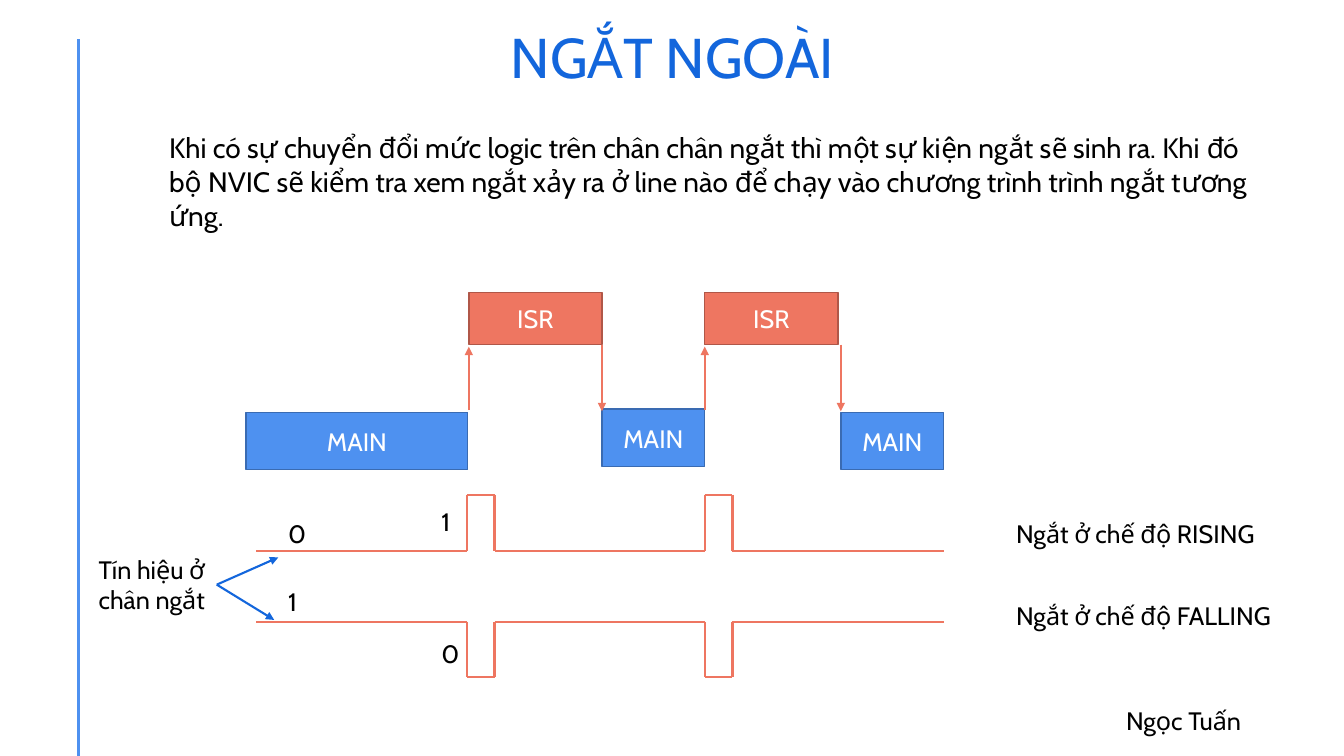
from dataclasses import dataclass
from itertools import pairwise

from lxml.etree import SubElement
from pptx import Presentation
from pptx.dml.color import RGBColor as Color
from pptx.enum.shapes import MSO_CONNECTOR as Connector, MSO_SHAPE as Shape
from pptx.enum.text import MSO_ANCHOR as Anchor, MSO_AUTO_SIZE as AutoSize, PP_ALIGN as Align
from pptx.oxml.ns import qn
from pptx.util import Inches, Pt

COLUMNS, ROWS, CELL = 133.3, 75, 0.1


@dataclass(frozen=True)
class Theme:
    """Colours, type sizes and line widths of the slide."""
    font: str = "Cabin"
    title: str = "1366DC"
    text: str = "000000"
    light: str = "FFFFFF"
    main: str = "4E91F0"
    main_edge: str = "3A6BB2"
    isr: str = "EE7661"
    isr_edge: str = "B05748"
    title_size: int = 40
    body_size: int = 20
    label_size: int = 18
    edge: float = 1
    stroke: float = 1.5
    rule: float = 2


@dataclass(frozen=True)
class Box:
    """A region measured in grid columns and rows."""
    left: float
    top: float
    width: float
    height: float

    def inner(self, left, top, width, height):
        """Return a smaller box placed from this box's corner."""
        return Box(self.left + left, self.top + top, width, height)

    def point(self, column, row):
        """Return slide lengths of a point counted from this box's corner."""
        return cells(self.left + column), cells(self.top + row)

    def frame(self):
        """Return left, top, width and height as slide lengths."""
        return [cells(count) for count in (self.left, self.top, self.width, self.height)]


THEME = Theme()


def cells(count):
    """Turn a number of grid cells into a length."""
    return Inches(count * CELL)


def apply(target, values):
    """Set every attribute named in a dict."""
    for name, value in values.items():
        setattr(target, name, value)


def write(shape, text, size, color, align=Align.LEFT, anchor=Anchor.TOP):
    """Put one formatted paragraph in a shape."""
    frame = shape.text_frame
    apply(frame, {"word_wrap": True, "auto_size": AutoSize.NONE, "vertical_anchor": anchor})
    para = frame.paragraphs[0]
    para.alignment = align
    span = para.add_run()
    span.text = text
    apply(span.font, {"name": THEME.font, "size": Pt(size)})
    span.font.color.rgb = Color.from_string(color)


def label(page, box, text, size=THEME.label_size):
    """Add a text box that fills the given box."""
    write(page.shapes.add_textbox(*box.frame()), text, size, THEME.text)


def stroke(page, box, start, end, color, width=THEME.stroke, arrow=False):
    """Draw a straight line between two points of a box."""
    line = page.shapes.add_connector(
        Connector.STRAIGHT, *box.point(*start), *box.point(*end))
    line.line.color.rgb = Color.from_string(color)
    line.line.width = Pt(width)
    properties = line.element.spPr
    if arrow:
        SubElement(properties.find(qn("a:ln")), qn("a:tailEnd"), type="triangle")
    SubElement(properties, qn("a:effectLst"))


def block(page, box, text, fill, edge):
    """Draw one labelled block of program time."""
    shape = page.shapes.add_shape(Shape.RECTANGLE, *box.frame())
    shape.shadow.inherit = False
    shape.fill.solid()
    shape.fill.fore_color.rgb = Color.from_string(fill)
    shape.line.color.rgb = Color.from_string(edge)
    shape.line.width = Pt(THEME.edge)
    write(shape, text, THEME.label_size, THEME.light, Align.CENTER, Anchor.MIDDLE)


def heading(page, box):
    """Place the title in its placeholder."""
    title = page.shapes.title
    apply(title, dict(zip(("left", "top", "width", "height"), box.frame())))
    write(title, "NGẮT NGOÀI", THEME.title_size, THEME.title, Align.CENTER)


def border(page, box):
    """Draw the side rule and the author's name."""
    stroke(page, box, (7.8, 3.9), (7.8, box.height), THEME.main, THEME.rule)
    label(page, box.inner(110.7, 69.5, 22.6, 4), "Ngọc Tuấn")


def timeline(page, box):
    """Show the program jumping between MAIN and ISR."""
    mains = ((0, 11.9, 22), (35.3, 11.6, 10.2), (59, 11.9, 10.2))
    routines = ((22.1, 35.3), (45.5, 59))
    for left, top, width in mains:
        block(page, box.inner(left, top, width, 5.7), "MAIN", THEME.main, THEME.main_edge)
    for rise, fall in routines:
        block(page, box.inner(rise, 0, 13.2, 5.2), "ISR", THEME.isr, THEME.isr_edge)
        stroke(page, box, (rise, 11.7), (rise, 5.4), THEME.isr, arrow=True)
        stroke(page, box, (fall, 5.2), (fall, 11.8), THEME.isr, arrow=True)


def signal(page, box, idle, active):
    """Draw a pin signal with two pulses between its idle and active rows."""
    points = [(0, idle)]
    for rise in (20.9, 44.5):
        fall = rise + 2.75
        points += [(rise, idle), (rise, active), (fall, active), (fall, idle)]
    points.append((box.width, idle))
    for start, end in pairwise(points):
        stroke(page, box, start, end, THEME.isr)


def signals(page, box):
    """Draw both interrupt modes with their levels and names."""
    modes = (
        ("RISING", 1.8, (5.6, 0), ("0", 1.8), ("1", 0.6)),
        ("FALLING", 10, (12.6, 18.1), ("1", 8.6), ("0", 13.7)),
    )
    for mode, name_row, levels, (idle, idle_row), (active, active_row) in modes:
        signal(page, box, *levels)
        label(page, box.inner(2.2, idle_row, 6.6, 4), idle)
        label(page, box.inner(17.4, active_row, 6.6, 4), active)
        label(page, box.inner(74.4, name_row, 32.4, 4), f"Ngắt ở chế độ {mode}")


def pin_note(page, box):
    """Name the pin signals and point at both of them."""
    label(page, box, "Tín hiệu ở chân ngắt")
    for target in ((18.8, 0.8), (18.4, 7)):
        stroke(page, box, (box.width, 3.5), target, THEME.title, arrow=True)


def build():
    """Build and save the slide."""
    deck = Presentation()
    apply(deck, {"slide_width": cells(COLUMNS), "slide_height": cells(ROWS)})
    page = deck.slides.add_slide(deck.slide_layouts[5])
    whole = Box(0, 0, COLUMNS, ROWS)
    border(page, whole)
    heading(page, whole.inner(16.8, 1.7, 99.8, 7.7))
    label(page, whole.inner(15.8, 12.5, 110.6, 11.1),
          "Khi có sự chuyển đổi mức logic trên chân chân ngắt thì một sự kiện ngắt "
          "sẽ sinh ra. Khi đó bộ NVIC sẽ kiểm tra xem ngắt xảy ra ở line nào để chạy "
          "vào chương trình trình ngắt tương ứng.", THEME.body_size)
    timeline(page, whole.inner(24.4, 29, 69.2, 17.6))
    signals(page, whole.inner(25.4, 49.1, 68.2, 18.1))
    pin_note(page, whole.inner(8.8, 54.5, 12.7, 7.1))
    deck.save("out.pptx")


if __name__ == "__main__":
    build()
